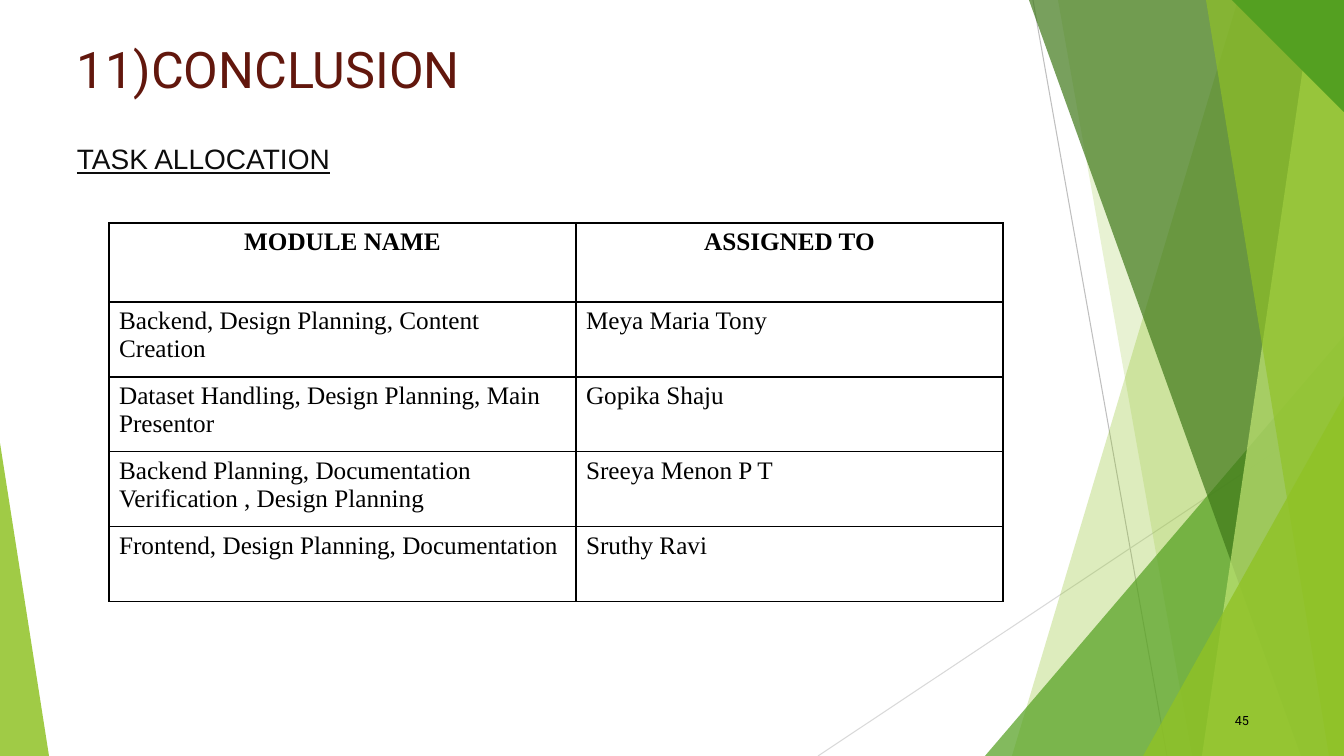
from lxml import etree
from pptx import Presentation
from pptx.dml.color import RGBColor
from pptx.enum.shapes import MSO_CONNECTOR as Connector, MSO_SHAPE as Preset
from pptx.enum.text import MSO_ANCHOR as Anchor, PP_ALIGN as Align
from pptx.oxml import parse_xml
from pptx.oxml.ns import nsdecls, qn
from pptx.util import Pt

SCALE = 12192000 / 1344  # EMU per px
WIDTH, HEIGHT = 1344, 756
THEME = {
    "title": "62170D", "subtitle": "0D0D0D", "ink": "000000",
    "lime": "90C226", "green": "54A021", "forest": "3F7819", "pale": "C0E474",
    "line": "BFBFBF", "faint line": "D9D9D9",
    "title size": 36, "subtitle size": 20, "table size": 18, "number size": 9,
    "title font": "Roboto", "subtitle font": "Arial", "table font": "Times New Roman",
}


def px(*lengths):
    return [round(length * SCALE) for length in lengths]


def write(frame, text, size, font, color, align, bold=False, underline=False):
    frame.word_wrap = True
    paragraph = frame.paragraphs[0]
    paragraph.alignment = align
    run = paragraph.add_run()
    run.text = text
    run.font.size = Pt(THEME[size])
    run.font.name = THEME[font]
    run.font.color.rgb = RGBColor.from_string(THEME[color])
    run.font.bold = bold
    run.font.underline = underline


presentation = Presentation()
presentation.slide_width, presentation.slide_height = px(WIDTH, HEIGHT)
slide = presentation.slides.add_slide(presentation.slide_layouts[6])
shapes = slide.shapes

# Thin diagonal lines
for color, ends in [("line", (1033, 0, 1167, HEIGHT)),
                    ("faint line", (WIDTH, 406, 818, HEIGHT))]:
    line = shapes.add_connector(Connector.STRAIGHT, *px(*ends))
    line.line.color.rgb = RGBColor.from_string(THEME[color])
    line.line.width = Pt(0.75)
    etree.SubElement(line._element.spPr, qn("a:effectLst"))

# Facets: a band runs to the right edge from its top x and bottom x;
# a triangle has left, top, width, height and the position of its apex
facets = [
    ("lime", 30, "band", (1238, 1012)),
    ("lime", 20, "band", (1058, 1192)),
    ("green", 72, "triangle", (985, 336, 359, 420, 1)),
    ("forest", 70, "band", (1029, 1301)),
    ("pale", 70, "band", (1313, 1202)),
    ("lime", 65, "band", (1206, 1329)),
    ("lime", 80, "triangle", (1143, 396, 201, 360, 1)),
    ("lime", 85, "triangle", (0, 443, 49, 313, 0)),
    ("green", 100, "corner", (1232, 112)),
]
for color, opacity, kind, numbers in facets:
    if kind == "triangle":
        *box, apex = numbers
        facet = shapes.add_shape(Preset.ISOSCELES_TRIANGLE, *px(*box))
        facet.adjustments[0] = apex
    else:
        start, end = numbers
        outline = shapes.build_freeform(start, 0, scale=SCALE)
        if kind == "band":
            points = [(WIDTH, 0), (WIDTH, HEIGHT), (end, HEIGHT)]
        else:
            points = [(WIDTH, 0), (WIDTH, end)]
        outline.add_line_segments(points, close=True)
        facet = outline.convert_to_shape()
    facet.shadow.inherit = False
    facet.line.fill.background()
    facet.fill.solid()
    facet.fill.fore_color.rgb = RGBColor.from_string(THEME[color])
    if opacity < 100:
        tint = facet._element.spPr.find(qn("a:solidFill"))[0]
        etree.SubElement(tint, qn("a:alpha"), val=str(opacity * 1000))

# Title, subtitle and slide number
title = shapes.add_textbox(*px(67, 33, 1176, 100))
write(title.text_frame, "11)CONCLUSION", "title size", "title font", "title", Align.LEFT)

subtitle = shapes.add_textbox(*px(67, 137, 781, 50))
write(subtitle.text_frame, "TASK ALLOCATION", "subtitle size", "subtitle font",
      "subtitle", Align.JUSTIFY, underline=True)

number = shapes.add_textbox(*px(1209, 701, 50, 40))
number.text_frame.vertical_anchor = Anchor.MIDDLE
write(number.text_frame, "45", "number size", "title font", "ink", Align.RIGHT)

# Task table
tasks = [
    ("MODULE NAME", "ASSIGNED TO"),
    ("Backend, Design Planning, Content Creation", "Meya Maria Tony"),
    ("Dataset Handling, Design Planning, Main Presentor", "Gopika Shaju"),
    ("Backend Planning, Documentation Verification , Design Planning", "Sreeya Menon P T"),
    ("Frontend, Design Planning, Documentation", "Sruthy Ravi"),
]
column_widths = [467, 427]
row_heights = [79] + [75] * (len(tasks) - 1)
table = shapes.add_table(len(tasks), len(column_widths),
                         *px(109, 223, sum(column_widths), sum(row_heights))).table
table.first_row = False
table.horz_banding = False
for column, width in zip(table.columns, px(*column_widths)):
    column.width = width
for row, height in zip(table.rows, px(*row_heights)):
    row.height = height

for row_index, task in enumerate(tasks):
    header = row_index == 0
    for column_index, text in enumerate(task):
        cell = table.cell(row_index, column_index)
        cell.fill.background()
        write(cell.text_frame, text, "table size", "table font", "ink",
              Align.CENTER if header else Align.LEFT, bold=header)
        properties = cell._tc.get_or_add_tcPr()
        for position, side in enumerate(["lnL", "lnR", "lnT", "lnB"]):
            properties.insert(position, parse_xml(
                f'<a:{side} {nsdecls("a")} w="{Pt(1)}"><a:solidFill>'
                f'<a:srgbClr val="{THEME["ink"]}"/></a:solidFill></a:{side}>'))

presentation.save("out.pptx")
